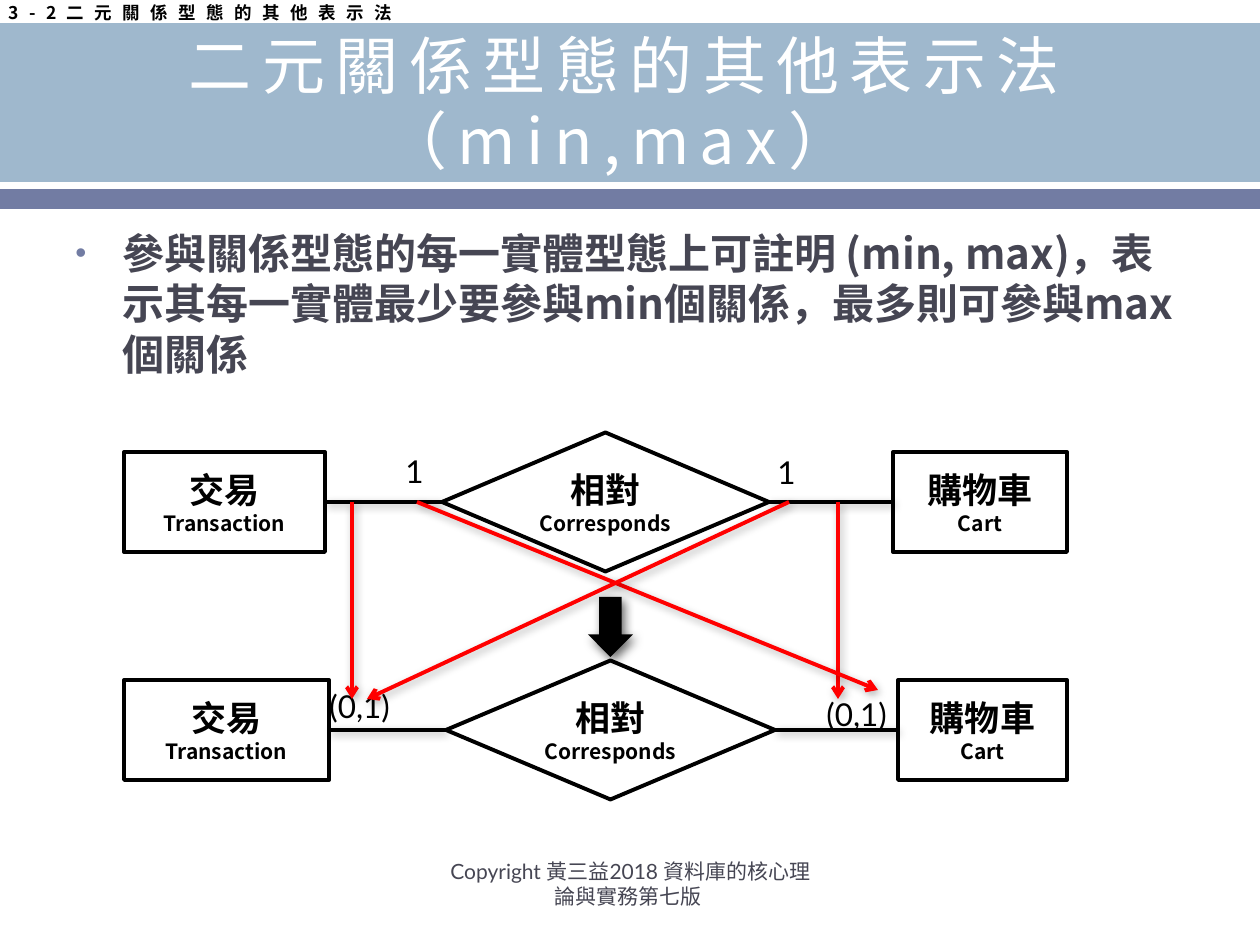
import pptx
import pptx.util
import pptx.dml.color
import pptx.enum.shapes
import pptx.enum.text
import pptx.oxml.ns
import lxml.etree

SCALE = 914400 / 126
FORM = pptx.enum.shapes.MSO_SHAPE
ALIGN = pptx.enum.text.PP_ALIGN
MID = pptx.enum.text.MSO_ANCHOR.MIDDLE
TOP = pptx.enum.text.MSO_ANCHOR.TOP


def px(num):
    return pptx.util.Emu(round(num * SCALE))


def tint(code):
    return pptx.dml.color.RGBColor.from_string(code)


def node(top, tag, **attrs):
    return lxml.etree.SubElement(top, pptx.oxml.ns.qn(tag), attrs)


class Deck:
    """Holds the style and the current slide."""

    cjk = "Noto Sans CJK SC"
    lato = "Lato"
    black, white, red, gray = "000000", "FFFFFF", "FF0000", "464653"
    blue, band = "727CA3", "9FB8CD"
    width = 2.25

    def __init__(self):
        self.show = pptx.Presentation()
        self.show.slide_width, self.show.slide_height = px(1260), px(945)
        self.slide = self.show.slides.add_slide(self.show.slide_layouts[6])

    def run(self, para, text, size, face, color, bold=False, space=0):
        run = para.add_run()
        run.text = text
        font = run.font
        font.size, font.name, font.bold = pptx.util.Pt(size), face, bold
        font.color.rgb = tint(color)
        props = run._r.get_or_add_rPr()
        if space:
            props.set("spc", str(space * 100))
        node(props, "a:ea", typeface=self.cjk)

    def shade(self, item, alpha, blur, dist):
        effect = node(item._element.spPr, "a:effectLst")
        outer = node(effect, "a:outerShdw", blurRad=str(blur * 12700),
                     dist=str(dist * 12700), dir="3600000", algn="ctr", rotWithShape="0")
        node(node(outer, "a:srgbClr", val=self.black), "a:alpha", val=str(alpha * 1000))

    def shape(self, form, box, fill, line=None):
        item = self.slide.shapes.add_shape(form, *map(px, box))
        item.fill.solid()
        item.fill.fore_color.rgb = tint(fill)
        if line:
            item.line.color.rgb = tint(line)
            item.line.width = pptx.util.Pt(self.width)
        else:
            item.line.fill.background()
        return item

    def bar(self, box, fill):
        self.shape(FORM.RECTANGLE, box, fill).shadow.inherit = False

    def block(self, form, box, name, term):
        item = self.shape(form, box, self.white, self.black)
        item.shadow.inherit = False
        frame = item.text_frame
        frame.vertical_anchor = MID
        frame.word_wrap = False
        for para, text, size in ((frame.paragraphs[0], name, 20),
                                 (frame.add_paragraph(), term, 12)):
            para.alignment = ALIGN.CENTER
            self.run(para, text, size, self.cjk, self.black, True)

    def arrow(self, box):
        self.shade(self.shape(FORM.DOWN_ARROW, box, self.black), 60, 6, 3)

    def link(self, start, end, color, head=False):
        item = self.slide.shapes.add_connector(
            pptx.enum.shapes.MSO_CONNECTOR.STRAIGHT, *map(px, start + end))
        item.line.color.rgb = tint(color)
        item.line.width = pptx.util.Pt(self.width)
        if head:
            node(item.line._get_or_add_ln(), "a:tailEnd", type="arrow")
        self.shade(item, 30, 5, 2)

    def text(self, box, lines, size, face, color, align=ALIGN.LEFT, anchor=TOP,
             bold=False, space=0, wrap=True, bullet=False):
        frame = self.slide.shapes.add_textbox(*map(px, box)).text_frame
        frame.word_wrap, frame.vertical_anchor = wrap, anchor
        para = frame.paragraphs[0]
        para.alignment = align
        if bullet:
            props = para._p.get_or_add_pPr()
            props.set("marL", str(px(47)))
            props.set("indent", str(-px(47)))
            node(node(props, "a:buClr"), "a:srgbClr", val=self.blue)
            node(props, "a:buSzPct", val="75000")
            node(props, "a:buFont", typeface="Arial")
            node(props, "a:buChar", char="•")
        for row, line in enumerate(lines):
            if row:
                para.add_line_break()
            self.run(para, line, size, face, color, bold, space)


def main():
    deck = Deck()
    deck.bar((0, 23, 1260, 159), deck.band)
    deck.bar((0, 189, 1260, 20), deck.blue)
    deck.text((63, 25, 1134, 154), ("二元關係型態的其他表示法", "（min,max） "), 36,
              deck.cjk, deck.white, ALIGN.CENTER, MID, space=6)
    deck.text((63, 221, 1134, 624),
              ("參與關係型態的每一實體型態上可註明 (min, max)，"
               "表示其每一實體最少要參與min個關係，最多則可參與max個關係",),
              24, deck.cjk, deck.gray, bold=True, bullet=True)

    rows = ((502, (124, 325), (442, 769), (893, 1067)),
            (730, (124, 329), (446, 775), (898, 1067)))
    for mid, left, center, right in rows:
        parts = ((FORM.RECTANGLE, left, 100, "交易", "Transaction"),
                 (FORM.RECTANGLE, right, 100, "購物車", "Cart"),
                 (FORM.DIAMOND, center, 139, "相對", "Corresponds"))
        for form, (x, end), high, name, term in parts:
            deck.block(form, (x, mid - high / 2, end - x, high), name, term)
        deck.link((left[1], mid), (center[0], mid), deck.black)
        deck.link((center[1], mid), (right[0], mid), deck.black)

    for x, y, wide, mark in ((393, 446, 48, "1"), (765, 447, 48, "1"),
                             (317, 681, 95, "(0,1)"), (814, 689, 95, "(0,1)")):
        deck.text((x, y, wide, 50), (mark,), 18, deck.lato, deck.black)
    for x, end in ((352, (352, 699)), (838, (838, 699)),
                   (417, (878, 690)), (789, (367, 699))):
        deck.link((x, 502), end, deck.red, True)
    deck.arrow((588, 597, 45, 60))

    deck.text((-4, -4, 426, 55), ("3-2二元關係型態的其他表示法",), 10, deck.cjk,
              deck.black, bold=True, space=6, wrap=False)
    deck.text((431, 859, 399, 50), ("Copyright 黃三益2018 資料庫的核心理論與實務第七版 ",), 12,
              deck.lato, deck.gray, ALIGN.CENTER, MID)
    deck.show.save("out.pptx")


if __name__ == "__main__":
    main()
